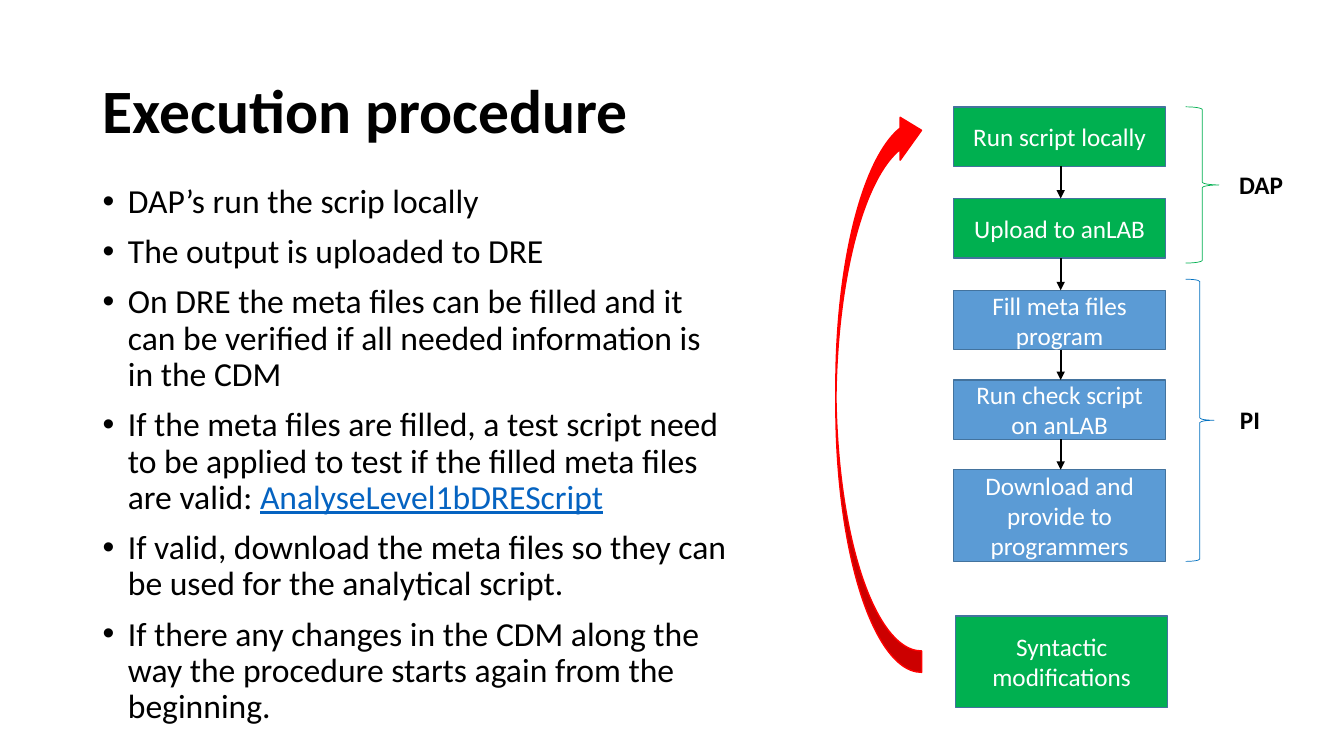
from typing import NamedTuple

from lxml.etree import SubElement
from pptx import Presentation
from pptx.dml.color import RGBColor
from pptx.enum.shapes import MSO_CONNECTOR, MSO_SHAPE as Preset
from pptx.enum.text import MSO_ANCHOR as Anchor, PP_ALIGN as Align
from pptx.oxml.ns import qn
from pptx.util import Inches, Pt

FONT = "Calibri"
BLACK, WHITE, RED, LINK = "000000", "FFFFFF", "FF0000", "0563C1"
GREEN, BLUE, BOX_EDGE, BRACE_BLUE = "00B050", "5B9BD5", "43739E", "0070C0"
STEP_LEFT, STEP_WIDTH = 9.46, 2.1


class Step(NamedTuple):
    text: str
    top: float
    height: float
    fill: str
    left: float = STEP_LEFT


class Role(NamedTuple):
    name: str
    label_left: float
    label_top: float
    brace_top: float
    brace_width: float
    brace_height: float
    color: str


STEPS = [
    Step("Run script locally", 1.06, 0.59, GREEN),
    Step("Upload to anLAB", 1.97, 0.59, GREEN),
    Step("Fill meta files program", 2.88, 0.59, BLUE),
    Step("Run check script on anLAB", 3.77, 0.59, BLUE),
    Step("Download and provide to programmers", 4.66, 0.91, BLUE),
]
MODIFICATIONS = Step("Syntactic modifications", 6.11, 0.91, GREEN, 9.48)
ROLES = [
    Role("DAP", 12.19, 1.63, 1.06, 0.33, 1.55, GREEN),
    Role("PI", 12.2, 3.96, 2.77, 0.28, 2.8, BRACE_BLUE),
]
# Each bullet is its plain text followed by its link text
BULLETS = [
    ("DAP’s run the scrip locally", ""),
    ("The output is uploaded to DRE", ""),
    ("On DRE the meta files can be filled and it can be verified "
     "if all needed information is in the CDM", ""),
    ("If the meta files are filled, a test script need to be applied to test "
     "if the filled meta files are valid: ", "AnalyseLevel1bDREScript"),
    ("If valid, download the meta files so they can be used "
     "for the analytical script.", ""),
    ("If there any changes in the CDM along the way the procedure "
     "starts again from the beginning.", ""),
]


def rgb(color: str) -> RGBColor:
    return RGBColor.from_string(color)


def set_font(paragraph, size: float, color: str, bold: bool = False) -> None:
    font = paragraph.font
    font.name, font.size, font.bold = FONT, Pt(size), bold
    font.color.rgb = rgb(color)


def add_preset(slide, preset, left: float, top: float, width: float,
               height: float, line: str, weight: float, fill: str = ""):
    """Add a shadowless preset shape, hollow when fill is empty."""
    shape = slide.shapes.add_shape(
        preset, Inches(left), Inches(top), Inches(width), Inches(height))
    shape.shadow.inherit = False
    if fill:
        shape.fill.solid()
        shape.fill.fore_color.rgb = rgb(fill)
    else:
        shape.fill.background()
    shape.line.color.rgb = rgb(line)
    shape.line.width = Pt(weight)
    return shape


def add_text_frame(slide, left: float, top: float, width: float, height: float):
    frame = slide.shapes.add_textbox(
        Inches(left), Inches(top), Inches(width), Inches(height)).text_frame
    frame.word_wrap = True
    return frame


def add_title(slide, text: str) -> None:
    title = slide.shapes.title
    title.left, title.top = Inches(0.92), Inches(0.4)
    title.width, title.height = Inches(11.5), Inches(1.45)
    frame = title.text_frame
    frame.text = text
    frame.vertical_anchor = Anchor.MIDDLE
    paragraph = frame.paragraphs[0]
    paragraph.alignment = Align.LEFT
    paragraph.line_spacing = 0.9
    set_font(paragraph, 44, BLACK, bold=True)


def add_bullets(slide) -> None:
    frame = add_text_frame(slide, 0.92, 1.78, 6.45, 5.36)
    for index, (text, link) in enumerate(BULLETS):
        paragraph = frame.add_paragraph() if index else frame.paragraphs[0]
        paragraph.line_spacing = 0.9
        paragraph.space_before = Pt(10)
        properties = paragraph._p.get_or_add_pPr()
        properties.set("marL", str(Inches(0.25)))
        properties.set("indent", str(-Inches(0.25)))
        SubElement(properties, qn("a:buFont"), typeface="Arial")
        SubElement(properties, qn("a:buChar"), char="•")
        set_font(paragraph, 24, BLACK)
        paragraph.add_run().text = text
        if link:
            link_run = paragraph.add_run()
            link_run.text = link
            link_run.font.underline = True
            link_run.font.color.rgb = rgb(LINK)


def add_step(slide, step: Step) -> None:
    box = add_preset(slide, Preset.RECTANGLE, step.left, step.top, STEP_WIDTH,
                     step.height, BOX_EDGE, 1, step.fill)
    frame = box.text_frame
    frame.text = step.text
    frame.word_wrap = True
    frame.vertical_anchor = Anchor.MIDDLE
    frame.paragraphs[0].alignment = Align.CENTER
    set_font(frame.paragraphs[0], 18, WHITE)


def add_step_arrow(slide, upper: Step, lower: Step) -> None:
    center = Inches(STEP_LEFT + STEP_WIDTH / 2 + 0.01)
    arrow = slide.shapes.add_connector(
        MSO_CONNECTOR.STRAIGHT, center, Inches(upper.top + upper.height),
        center, Inches(lower.top))
    arrow.line.color.rgb = rgb(BLACK)
    arrow.line.width = Pt(1.5)
    SubElement(arrow.line._get_or_add_ln(), qn("a:tailEnd"), type="triangle")
    SubElement(arrow._element.spPr, qn("a:effectLst"))


def add_role(slide, role: Role) -> None:
    add_preset(slide, Preset.RIGHT_BRACE, 11.76, role.brace_top,
               role.brace_width, role.brace_height, role.color, 0.5)
    frame = add_text_frame(slide, role.label_left, role.label_top, 0.85, 0.4)
    frame.text = role.name
    set_font(frame.paragraphs[0], 18, BLACK, bold=True)


def main() -> None:
    deck = Presentation()
    deck.slide_width, deck.slide_height = Inches(13.33), Inches(7.5)
    slide = deck.slides.add_slide(deck.slide_layouts.get_by_name("Title Only"))
    add_title(slide, "Execution procedure")
    add_bullets(slide)
    for step in [*STEPS, MODIFICATIONS]:
        add_step(slide, step)
    for upper, lower in zip(STEPS, STEPS[1:]):
        add_step_arrow(slide, upper, lower)
    for role in ROLES:
        add_role(slide, role)
    restart_arrow = add_preset(slide, Preset.CURVED_LEFT_ARROW,
                               8.29, 1.08, 0.85, 5.59, RED, 1, RED)
    restart_arrow.rotation = 180
    deck.save("out.pptx")


if __name__ == "__main__":
    main()
